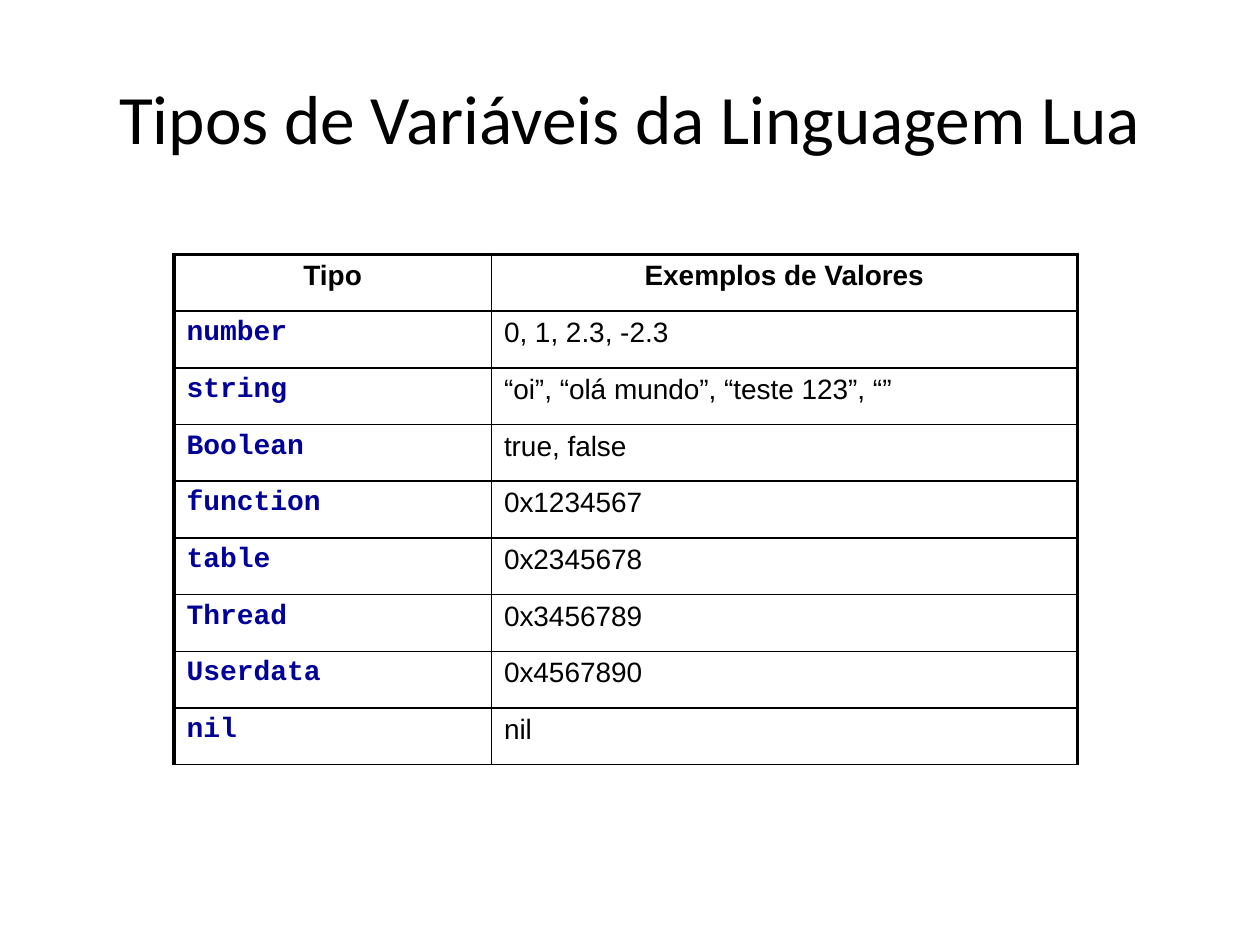
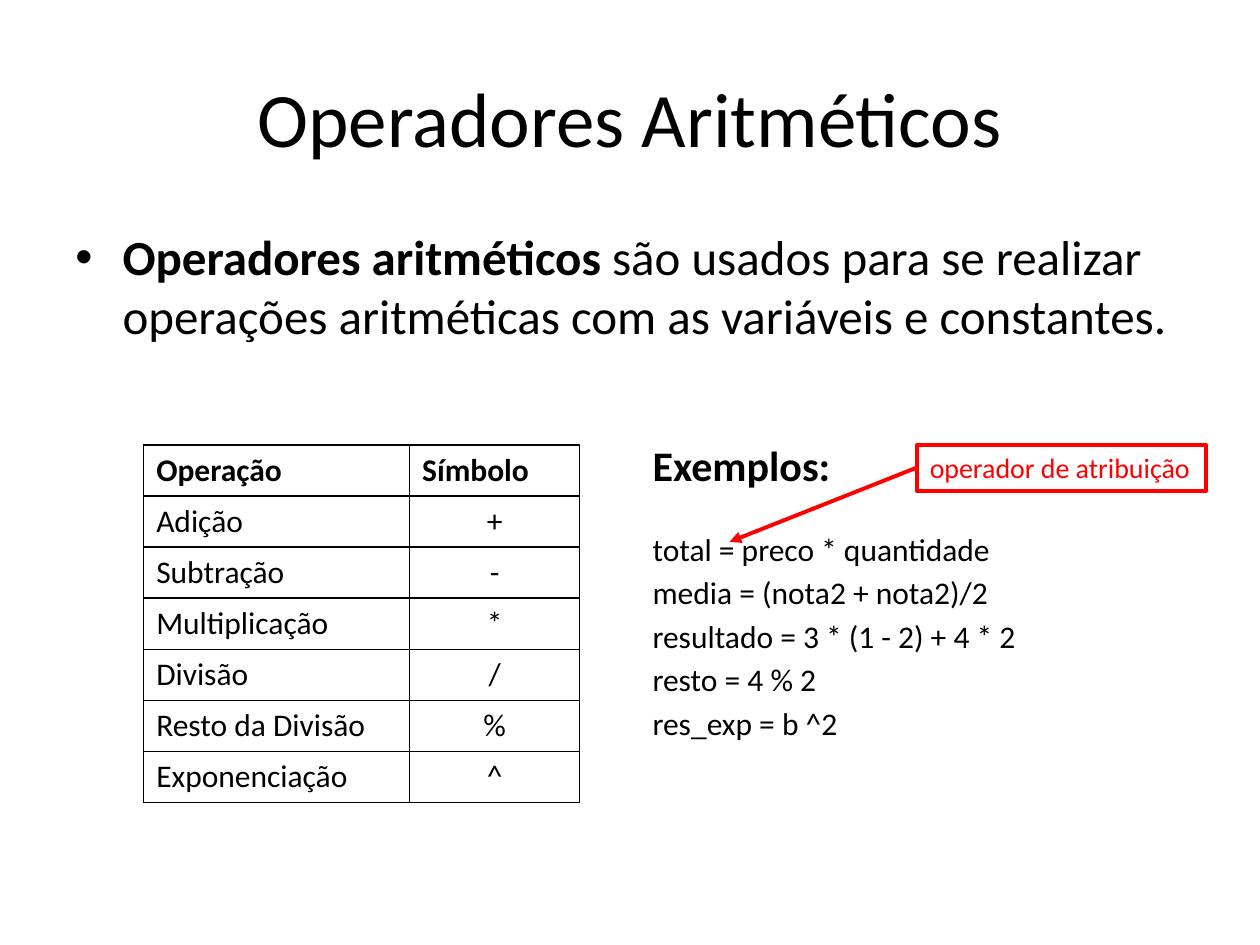
from dataclasses import dataclass

from lxml.etree import SubElement
from pptx import Presentation
from pptx.dml.color import RGBColor
from pptx.enum.shapes import MSO_CONNECTOR as Connector, MSO_SHAPE as Preset
from pptx.enum.text import MSO_ANCHOR as Anchor, MSO_AUTO_SIZE as AutoSize, PP_ALIGN as Align
from pptx.oxml.ns import qn
from pptx.util import Pt


@dataclass(frozen=True)
class Theme:
    """Colours, fonts, type sizes and line widths of the slides."""
    text: str = "000000"
    keyword: str = "000099"
    accent: str = "FF0000"
    background: str = "FFFFFF"
    main_font: str = "Calibri"
    table_font: str = "Arial"
    code_font: str = "Courier New"
    title_size: float = 44
    long_title_size: float = 39.6
    body_size: float = 28
    heading_size: float = 24
    code_size: float = 18
    label_size: float = 16
    thin: float = 1
    thick: float = 2.25


THEME = Theme()
TITLE_ONLY = 5

TYPES = [
    ("Tipo", "Exemplos de Valores"),
    ("number", "0, 1, 2.3, -2.3"),
    ("string", "“oi”, “olá mundo”, “teste 123”, “”"),
    ("Boolean", "true, false"),
    ("function", "0x1234567"),
    ("table", "0x2345678"),
    ("Thread", "0x3456789"),
    ("Userdata", "0x4567890"),
    ("nil", "nil"),
]
OPERATORS = [
    ("Operação", "Símbolo"),
    ("Adição", "+"),
    ("Subtração", "-"),
    ("Multiplicação", "*"),
    ("Divisão", "/"),
    ("Resto da Divisão", "%"),
    ("Exponenciação", "^"),
]
EXAMPLES = [
    "total = preco * quantidade",
    "media = (nota2 + nota2)/2",
    "resultado = 3 * (1 - 2) + 4 * 2",
    "resto = 4 % 2",
    "res_exp = b ^2",
]


def add_run(paragraph, text, size, bold=False, font=THEME.main_font, color=THEME.text):
    """Append one formatted run to a paragraph."""
    run = paragraph.add_run()
    run.text = text
    run.font.name = font
    run.font.size = Pt(size)
    run.font.bold = bold
    run.font.color.rgb = RGBColor.from_string(color)


def add_titled_slide(presentation, title, size):
    """Add a slide with a plain background and a centred title."""
    slide = presentation.slides.add_slide(presentation.slide_layouts[TITLE_ONLY])
    slide.background.fill.solid()
    slide.background.fill.fore_color.rgb = RGBColor.from_string(THEME.background)
    shape = slide.shapes.title
    shape.left, shape.top, shape.width, shape.height = Pt(36), Pt(21.6), Pt(648), Pt(90)
    frame = shape.text_frame
    frame.auto_size = AutoSize.NONE
    frame.vertical_anchor = Anchor.MIDDLE
    paragraph = frame.paragraphs[0]
    paragraph.alignment = Align.CENTER
    add_run(paragraph, title, size)
    return slide


def add_text_frame(slide, left, top, width, height):
    """Add a wrapping text box and return its text frame."""
    frame = slide.shapes.add_textbox(Pt(left), Pt(top), Pt(width), Pt(height)).text_frame
    frame.word_wrap = True
    return frame


def set_bullet(paragraph, indent):
    """Give a paragraph a round bullet with a hanging indent."""
    properties = paragraph._p.get_or_add_pPr()
    properties.set("marL", str(Pt(indent)))
    properties.set("indent", str(-Pt(indent)))
    SubElement(properties, qn("a:buFont"), typeface="Arial")
    SubElement(properties, qn("a:buChar"), char="•")


def set_borders(cell, left, right, top, bottom):
    """Draw the four borders of a cell with the given widths."""
    properties = cell._tc.get_or_add_tcPr()
    for side, width in zip("LRTB", (left, right, top, bottom)):
        line = SubElement(properties, qn(f"a:ln{side}"), w=str(Pt(width)))
        fill = SubElement(line, qn("a:solidFill"))
        SubElement(fill, qn("a:srgbClr"), val=THEME.text)


def add_grid(slide, rows, left, top, column_widths, row_height, write_cell, outer=THEME.thin):
    """Add an unfilled table whose left, top and right edges are as wide as outer."""
    last = len(column_widths) - 1
    table = slide.shapes.add_table(
        len(rows), len(column_widths), Pt(left), Pt(top),
        Pt(sum(column_widths)), Pt(row_height * len(rows))).table
    table.first_row = table.horz_banding = False
    for column, width in zip(table.columns, column_widths):
        column.width = Pt(width)
    for row_index, values in enumerate(rows):
        table.rows[row_index].height = Pt(row_height)
        for column_index, value in enumerate(values):
            cell = table.cell(row_index, column_index)
            set_borders(
                cell,
                left=outer if column_index == 0 else THEME.thin,
                right=outer if column_index == last else THEME.thin,
                top=outer if row_index == 0 else THEME.thin,
                bottom=THEME.thin)
            cell.fill.background()
            write_cell(cell.text_frame.paragraphs[0], value, row_index == 0, column_index)


def write_type_cell(paragraph, value, is_header, column):
    """Write a header, a type name in code style or its example values."""
    is_keyword = column == 0 and not is_header
    if is_header:
        paragraph.alignment = Align.CENTER
    add_run(paragraph, value, THEME.label_size, bold=is_header or is_keyword,
            font=THEME.code_font if is_keyword else THEME.table_font,
            color=THEME.keyword if is_keyword else THEME.text)


def write_operator_cell(paragraph, value, is_header, column):
    """Write a header, an operation name or its centred symbol."""
    if column == 1 and not is_header:
        paragraph.alignment = Align.CENTER
    add_run(paragraph, value, THEME.code_size, bold=is_header)


def add_examples(slide, left, top, width, height):
    """Add the heading and the lines of example code."""
    frame = add_text_frame(slide, left, top, width, height)
    add_run(frame.paragraphs[0], "Exemplos:", THEME.heading_size, bold=True)
    for index, code in enumerate(EXAMPLES):
        paragraph = frame.add_paragraph()
        paragraph.space_before = Pt(3.2 if index else 22.8)
        add_run(paragraph, code, THEME.code_size)


def add_arrow(slide, start, end):
    """Add a straight accent arrow that points at end."""
    arrow = slide.shapes.add_connector(Connector.STRAIGHT, *map(Pt, start + end))
    arrow.line.color.rgb = RGBColor.from_string(THEME.accent)
    arrow.line.width = Pt(THEME.thick)
    SubElement(arrow.line._get_or_add_ln(), qn("a:tailEnd"), type="triangle")
    SubElement(arrow._element.spPr, qn("a:effectLst"))


def add_label(slide, text, left, top, width, height):
    """Add an outlined label in the accent colour."""
    shape = slide.shapes.add_shape(Preset.RECTANGLE, Pt(left), Pt(top), Pt(width), Pt(height))
    shape.shadow.inherit = False
    shape.fill.background()
    shape.line.color.rgb = RGBColor.from_string(THEME.accent)
    shape.line.width = Pt(THEME.thick)
    frame = shape.text_frame
    frame.word_wrap = False
    frame.auto_size = AutoSize.SHAPE_TO_FIT_TEXT
    frame.vertical_anchor = Anchor.TOP
    frame.paragraphs[0].alignment = Align.LEFT
    add_run(frame.paragraphs[0], text, THEME.label_size, color=THEME.accent)


def add_types_slide(presentation):
    """Build the slide about variable types."""
    slide = add_titled_slide(presentation, "Tipos de Variáveis da Linguagem Lua",
                             THEME.long_title_size)
    add_grid(slide, TYPES, 99.4, 145.4, (181.4, 334.8), 32.4, write_type_cell, THEME.thick)


def add_operators_slide(presentation):
    """Build the slide about arithmetic operators."""
    slide = add_titled_slide(presentation, "Operadores Aritméticos", THEME.title_size)
    paragraph = add_text_frame(slide, 36, 126, 648, 356.4).paragraphs[0]
    set_bullet(paragraph, 27)
    add_run(paragraph, "Operadores aritméticos", THEME.body_size, bold=True)
    add_run(paragraph, " são usados para se realizar operações aritméticas"
            " com as variáveis e constantes.", THEME.body_size)
    add_grid(slide, OPERATORS, 82.1, 254.2, (152, 97.2), 29.2, write_operator_cell)
    add_examples(slide, 365.8, 247.7, 286.6, 221)
    add_arrow(slide, (524.2, 267.1), (416.9, 309.6))
    add_label(slide, "operador de atribuição", 524.2, 254.2, 164.9, 26.6)


def main():
    """Create and save the presentation."""
    presentation = Presentation()
    presentation.slide_width, presentation.slide_height = Pt(720), Pt(540)
    add_types_slide(presentation)
    add_operators_slide(presentation)
    presentation.save("out.pptx")


if __name__ == "__main__":
    main()
